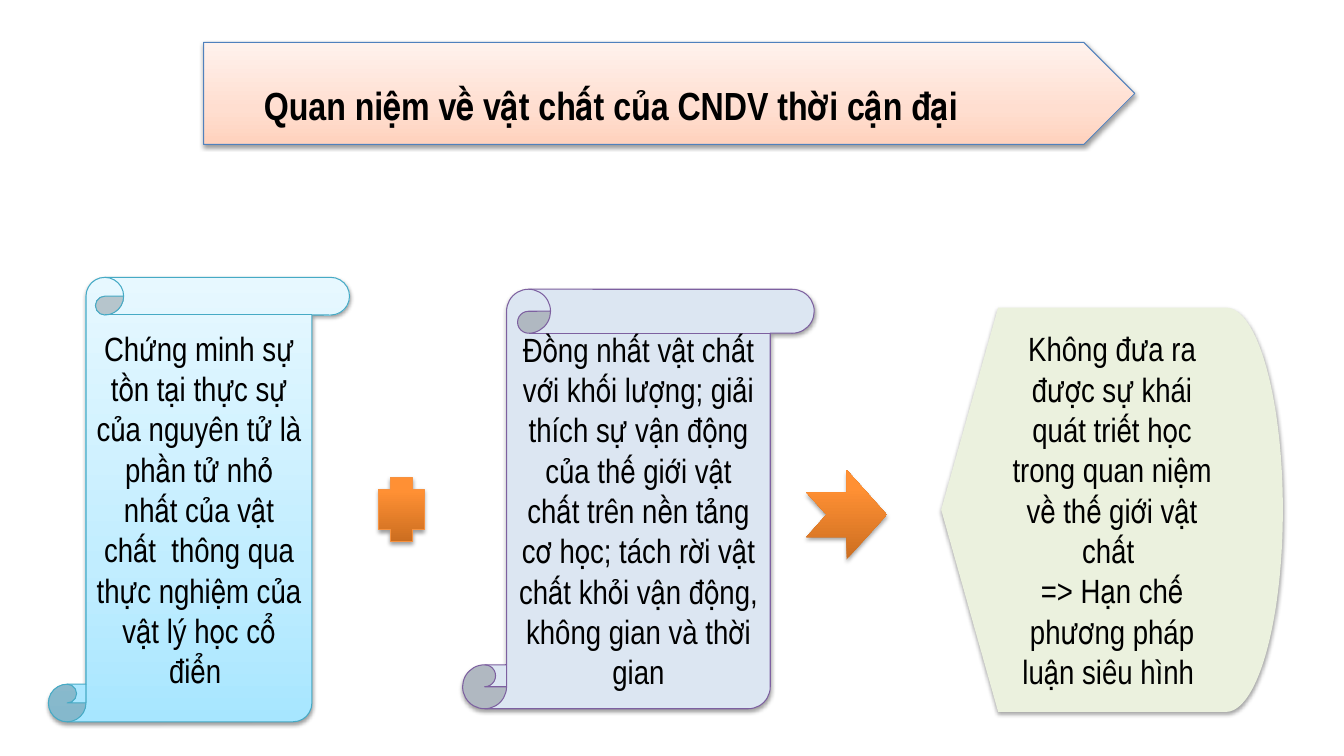
from collections import namedtuple
from copy import deepcopy

from lxml.etree import SubElement
from pptx import Presentation
from pptx.dml.color import RGBColor
from pptx.enum.shapes import MSO_SHAPE as Preset
from pptx.enum.text import MSO_ANCHOR as Anchor, PP_ALIGN as Align
from pptx.oxml.ns import qn
from pptx.util import Cm, Pt

Box = namedtuple("Box", "left top width height")

FONT = "Arial Narrow"
BLACK = RGBColor(0x00, 0x00, 0x00)
BLUE = RGBColor(0x4F, 0x81, 0xBD)
TEAL = RGBColor(0x46, 0xAA, 0xC5)
PURPLE = RGBColor(0x7D, 0x60, 0xA0)
LAVENDER = RGBColor(0xDC, 0xE6, 0xF2)
SAGE = RGBColor(0xEB, 0xF1, 0xDE)
ORANGE = RGBColor(0xF6, 0x92, 0x40)
PEACH_STOPS = [
    (0, RGBColor(0xFF, 0xD2, 0xBD)),
    (0.35, RGBColor(0xFF, 0xDE, 0xD0)),
    (1, RGBColor(0xFF, 0xF2, 0xED)),
]
SKY_STOPS = [
    (0, RGBColor(0xA7, 0xE6, 0xFF)),
    (0.35, RGBColor(0xC1, 0xED, 0xFF)),
    (1, RGBColor(0xE7, 0xF8, 0xFF)),
]
ORANGE_STOPS = [
    (0, RGBColor(0xCC, 0x6E, 0x20)),
    (0.8, RGBColor(0xFF, 0x90, 0x34)),
    (1, RGBColor(0xFF, 0x91, 0x36)),
]

TITLE = "Quan niệm về vật chất của CNDV thời cận đại"
ATOM = (
    "Chứng minh sự tồn tại thực sự của nguyên tử là phần tử nhỏ nhất của "
    "vật chất  thông qua thực nghiệm của vật lý học cổ điển "
)
MASS = (
    "Đồng nhất vật chất với khối lượng; giải thích sự vận động của thế giới "
    "vật chất trên nền tảng cơ học; tách rời vật chất khỏi vận động, "
    "không gian và thời gian"
)
LIMITS = (
    "Không đưa ra được sự khái quát triết học trong quan niệm về thế giới vật chất \n"
    "=> Hạn chế phương pháp luận siêu hình "
)


def paint(shape, colours):
    """Fill a shape with one colour or with a bottom-to-top gradient."""
    if isinstance(colours, RGBColor):
        shape.fill.solid()
        shape.fill.fore_color.rgb = colours
        return
    shape.fill.gradient()
    shape.fill.gradient_angle = 90
    stop_list = shape._element.spPr.find(".//" + qn("a:gsLst"))
    stop_list.append(deepcopy(stop_list[-1]))
    for stop, (position, colour) in zip(shape.fill.gradient_stops, colours):
        stop.position = position
        stop.color.rgb = colour


def cast_shadow(shape, distance, opacity):
    """Give a shape a soft black shadow straight below it."""
    shape.shadow.inherit = False
    effects = shape._element.spPr.find(qn("a:effectLst"))
    shadow = SubElement(
        effects, qn("a:outerShdw"), blurRad=str(Pt(3.1)), dist=str(Pt(distance)),
        dir="5400000", rotWithShape="0",
    )
    black = SubElement(shadow, qn("a:srgbClr"), val=str(BLACK))
    SubElement(black, qn("a:alpha"), val=str(opacity * 1000))


def add_figure(page, preset, box, colours, outline=None):
    """Place a painted preset shape in its box."""
    shape = page.shapes.add_shape(preset, *(Cm(length) for length in box))
    paint(shape, colours)
    if outline is None:
        shape.line.fill.background()
        cast_shadow(shape, 1.8, 35)
    else:
        shape.line.color.rgb = outline
        shape.line.width = Pt(0.75)
        cast_shadow(shape, 1.6, 38)
    return shape


def write(shape, text, size, bold=False, align=Align.CENTER):
    """Write black text into a shape, one paragraph per line."""
    frame = shape.text_frame
    frame.word_wrap = True
    frame.vertical_anchor = Anchor.MIDDLE
    frame.text = text
    for para in frame.paragraphs:
        para.alignment = align
        for span in para.runs:
            span.font.name = FONT
            span.font.size = Pt(size)
            span.font.bold = bold
            span.font.color.rgb = BLACK


def add_banner(page, box):
    """Add the title banner with its indented first line."""
    banner = add_figure(page, Preset.PENTAGON, box, PEACH_STOPS, BLUE)
    write(banner, TITLE, 28, bold=True, align=Align.JUSTIFY)
    para = banner.text_frame.paragraphs[0]
    para.line_spacing = 1.5
    properties = para._p.get_or_add_pPr()
    properties.set("marL", "0")
    properties.set("indent", str(Cm(1.27)))


def add_scroll(page, box, text, colours, outline):
    """Add one scroll holding a premise."""
    write(add_figure(page, Preset.VERTICAL_SCROLL, box, colours, outline), text, 24)


def add_conclusion(page, box):
    """Add the panel that states the limits."""
    write(add_figure(page, Preset.FLOWCHART_DISPLAY, box, SAGE), LIMITS, 24)


def main():
    """Build the slide and save the deck."""
    deck = Presentation()
    deck.slide_width, deck.slide_height = Cm(33.87), Cm(19.05)
    page = deck.slides.add_slide(deck.slide_layouts[6])
    add_banner(page, Box(5.13, 1.07, 23.47, 2.57))
    add_scroll(page, Box(1.22, 6.99, 7.59, 11.2), ATOM, SKY_STOPS, TEAL)
    add_scroll(page, Box(11.66, 7.29, 8.86, 10.57), MASS, LAVENDER, PURPLE)
    add_conclusion(page, Box(23.72, 7.75, 8.61, 10.19))
    add_figure(page, Preset.CROSS, Box(9.55, 12.04, 1.14, 1.6), ORANGE_STOPS, ORANGE)
    add_figure(page, Preset.NOTCHED_RIGHT_ARROW, Box(20.32, 11.84, 2.03, 2.26), ORANGE_STOPS)
    deck.save("out.pptx")


if __name__ == "__main__":
    main()
